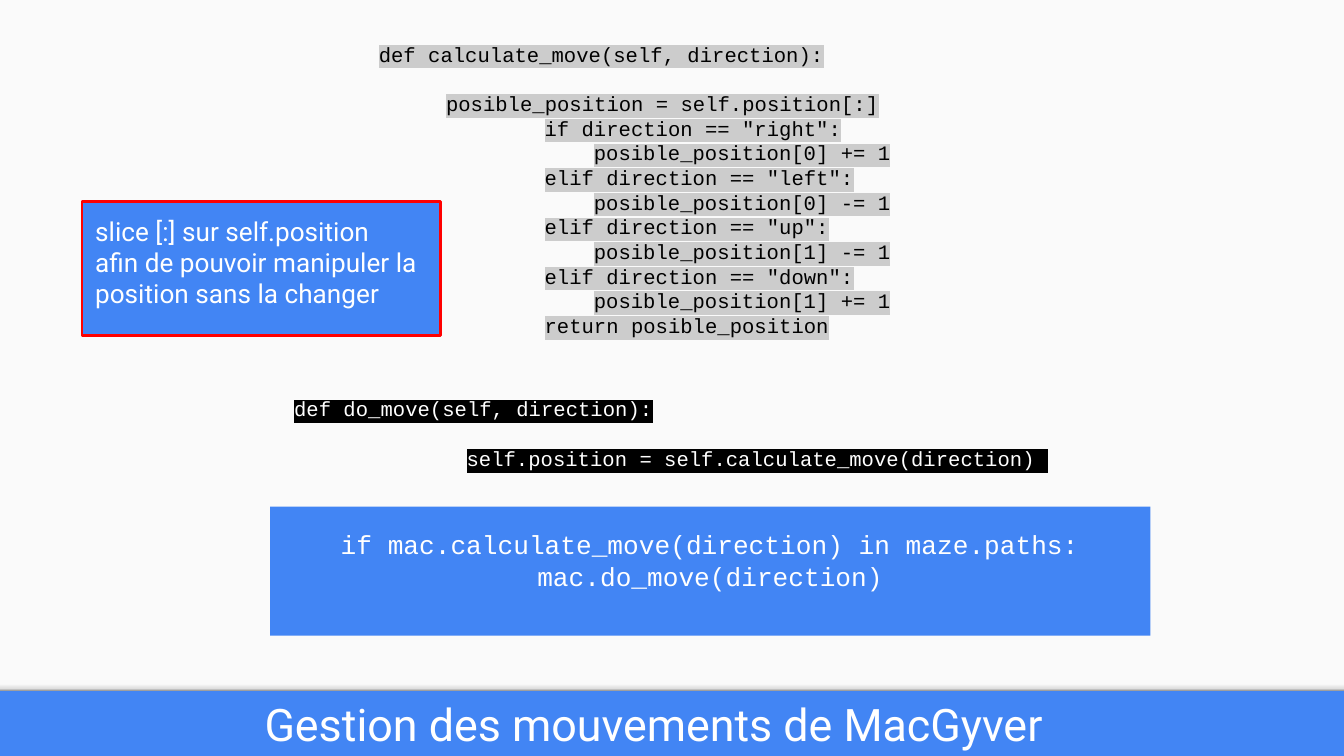
"""Build the slide on movement handling, with code listings and call-outs."""
from lxml import etree
from pptx import Presentation
from pptx import util as u
from pptx.dml.color import RGBColor
from pptx.enum import shapes, text
from pptx.oxml.ns import qn

COLOURS = {
    "blue": "4285F4", "paper": "FAFAFA", "white": "FFFFFF", "black": "000000",
    "grey": "CCCCCC", "red": "FF0000",
}
SHADOW_STOPS = [(0, "F9F9F9"), (36, "F9F9F9"), (80, "DEDEDE"), (100, "999999")]
CODE, SANS = "Courier New", "Roboto"
PAGE_WIDTH = 10
PAGE_HEIGHT = PAGE_WIDTH * 9 / 16
CHARACTER_WIDTH = 0.6 * 11 / 72
LINE_FACTOR = 1.2

TITLE = "Gestion des mouvements de MacGyver"
NOTE = ["slice [:] sur self.position",
        "afin de pouvoir manipuler la position sans la changer"]
CALL = ["if mac.calculate_move(direction) in maze.paths: mac.do_move(direction)"]

# (left margin in inches, indent in characters, blank lines before, code)
CALCULATE = [(0, 0, 0, "def calculate_move(self, direction):"),
             (0.5, 0, 1, "posible_position = self.position[:]")]
BRANCHES = [("if", "right", 0, "+="), ("elif", "left", 0, "-="),
            ("elif", "up", 1, "-="), ("elif", "down", 1, "+=")]
for keyword, direction, axis, operator in BRANCHES:
    CALCULATE += [(0.5, 8, 0, f'{keyword} direction == "{direction}":'),
                  (0.5, 12, 0, f"posible_position[{axis}] {operator} 1")]
CALCULATE.append((0.5, 8, 0, "return posible_position"))
DO_MOVE = [(0, 0, 0, "def do_move(self, direction):"),
           (0, 14, 1, "self.position = self.calculate_move(direction) ")]


def colour(name):
    return RGBColor.from_string(COLOURS[name])


def add_rectangle(page, place, fill=None, line=None):
    box = page.shapes.add_shape(shapes.MSO_SHAPE.RECTANGLE, *map(u.Inches, place))
    box.shadow.inherit = False
    if fill:
        box.fill.solid()
        box.fill.fore_color.rgb = colour(fill)
    if line:
        box.line.color.rgb = colour(line)
        box.line.width = u.Pt(1.5)
    else:
        box.line.fill.background()
    return box


def add_shadow(page, place):
    band = add_rectangle(page, place)
    band.fill.gradient()
    band.fill.gradient_angle = 270
    stops = band._element.spPr.find(qn("a:gradFill")).find(qn("a:gsLst"))
    for stop in list(stops):
        stops.remove(stop)
    for percent, value in SHADOW_STOPS:
        stop = etree.SubElement(stops, qn("a:gs"), pos=str(percent * 1000))
        etree.SubElement(stop, qn("a:srgbClr"), val=value)


def write(box, lines, font, size, ink="white", highlight=None,
          anchor=text.MSO_ANCHOR.TOP, align=text.PP_ALIGN.LEFT, bottom=0.1):
    frame = box.text_frame
    frame.word_wrap = True
    frame.vertical_anchor = anchor
    frame.margin_left = frame.margin_right = frame.margin_top = u.Inches(0.1)
    frame.margin_bottom = u.Inches(bottom)
    pitch = LINE_FACTOR * size
    for number, (margin, indent, blanks, words) in enumerate(lines):
        para = frame.paragraphs[0] if number == 0 else frame.add_paragraph()
        para.alignment = align
        para.line_spacing = u.Pt(pitch)
        para.space_before = u.Pt(blanks * pitch)
        left = margin + indent * CHARACTER_WIDTH
        para._p.get_or_add_pPr().set("marL", str(u.Inches(left)))
        span = para.add_run()
        span.text = words
        span.font.name = font
        span.font.size = u.Pt(size)
        span.font.color.rgb = colour(ink)
        if highlight:
            mark = etree.Element(qn("a:highlight"))
            etree.SubElement(mark, qn("a:srgbClr"), val=COLOURS[highlight])
            span._r.rPr.find(qn("a:solidFill")).addnext(mark)


def plain(lines):
    return [(0, 0, 0, words) for words in lines]


def add_text(page, place, *content, **style):
    write(page.shapes.add_textbox(*map(u.Inches, place)), *content, **style)


def main():
    deck = Presentation()
    deck.slide_width, deck.slide_height = u.Inches(PAGE_WIDTH), u.Inches(PAGE_HEIGHT)
    page = deck.slides.add_slide(deck.slide_layouts[6])
    page.background.fill.solid()
    page.background.fill.fore_color.rgb = colour("blue")

    add_rectangle(page, (0, 0, PAGE_WIDTH, 5.14), "paper")
    add_shadow(page, (0, 5.06, PAGE_WIDTH, 0.08))
    add_text(page, (1.87, 5.08, 6.26, 0.61), plain([TITLE]), SANS, 24,
             anchor=text.MSO_ANCHOR.MIDDLE)
    add_text(page, (2.72, 0.21, 4.55, 2.36), CALCULATE, CODE, 11,
             ink="black", highlight="grey")
    add_text(page, (2.09, 2.85, 5.82, 0.92), DO_MOVE, CODE, 11, highlight="black")

    note = add_rectangle(page, (0.61, 1.5, 2.67, 1), "blue", "red")
    write(note, plain(NOTE), SANS, 14)
    call = add_rectangle(page, (2.01, 3.77, 6.55, 0.96), "blue")
    write(call, plain(CALL), CODE, 14, anchor=text.MSO_ANCHOR.BOTTOM,
          align=text.PP_ALIGN.CENTER, bottom=0.33)
    deck.save("out.pptx")


if __name__ == "__main__":
    main()
